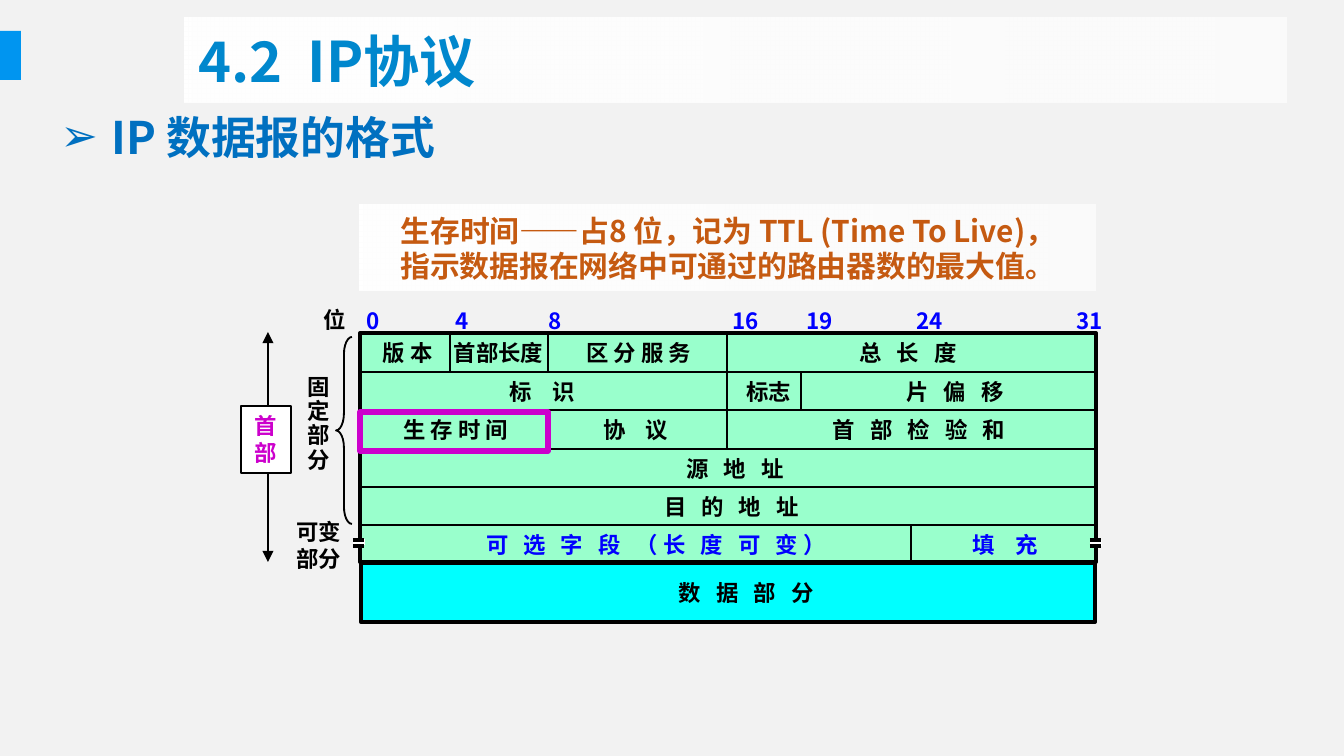
from lxml import etree
from pptx import Presentation
from pptx.dml.color import RGBColor
from pptx.enum.shapes import MSO_CONNECTOR, MSO_SHAPE
from pptx.enum.text import MSO_ANCHOR, MSO_AUTO_SIZE, PP_ALIGN
from pptx.oxml.ns import qn
from pptx.util import Pt

PX = 914400 / 134.4
FONT = "Noto Sans CJK SC"
RECTANGLE, LEFT_BRACE = MSO_SHAPE.RECTANGLE, MSO_SHAPE.LEFT_BRACE
STRAIGHT = MSO_CONNECTOR.STRAIGHT
LEFT, CENTER = PP_ALIGN.LEFT, PP_ALIGN.CENTER
MIDDLE, NO_FIT = MSO_ANCHOR.MIDDLE, MSO_AUTO_SIZE.NONE

BLACK = RGBColor(0x00, 0x00, 0x00)
WHITE = RGBColor(0xFF, 0xFF, 0xFF)
BACKGROUND = RGBColor(0xF2, 0xF2, 0xF2)
BAR_BLUE = RGBColor(0x00, 0x95, 0xF0)
TITLE_BLUE = RGBColor(0x00, 0x87, 0xCD)
HEADING_BLUE = RGBColor(0x00, 0x70, 0xC0)
BLUE = RGBColor(0x00, 0x00, 0xFF)
GREEN = RGBColor(0x99, 0xFF, 0xCC)
CYAN = RGBColor(0x00, 0xFF, 0xFF)
MAGENTA = RGBColor(0xCC, 0x00, 0xCC)
ORANGE = RGBColor(0xC5, 0x5A, 0x11)


def px(*lengths):
    return [round(length * PX) for length in lengths]


def format_text(frame, size, color, align=CENTER, wrap=False, tracking=0, line_height=None):
    frame.word_wrap = wrap
    frame.auto_size = NO_FIT
    frame.vertical_anchor = MIDDLE
    for paragraph in frame.paragraphs:
        paragraph.alignment = align
        paragraph.space_before = Pt(0)
        if line_height:
            paragraph.line_spacing = Pt(line_height)
        for run in paragraph.runs:
            run.font.size, run.font.bold, run.font.name = Pt(size), True, FONT
            run.font.color.rgb = color
            properties = run.font._element
            etree.SubElement(properties, qn("a:ea"), typeface=FONT)
            if tracking:
                properties.set("spc", str(tracking))


presentation = Presentation()
presentation.slide_width, presentation.slide_height = px(1344, 756)
slide = presentation.slides.add_slide(presentation.slide_layouts[1])
slide.background.fill.solid()
slide.background.fill.fore_color.rgb = BACKGROUND
shapes = slide.shapes

# Title, with a wider gap after the section number
title = shapes.title
title.left, title.top, title.width, title.height = px(185, 18, 1101, 85)
paragraph = title.text_frame.paragraphs[0]
for text in ("4.2", " ", "IP协议"):
    paragraph.add_run().text = text
format_text(title.text_frame, 30, TITLE_BLUE, LEFT, True)
paragraph.runs[1].font._element.set("spc", "670")

# Bulleted heading
heading = slide.placeholders[1]
heading.left, heading.top, heading.width, heading.height = px(47, 103, 1238, 67)
heading.text_frame.text = "IP 数据报的格式"
properties = heading.text_frame.paragraphs[0]._p.get_or_add_pPr()
indent = px(51)[0]
properties.set("marL", str(indent))
properties.set("indent", str(-indent))
etree.SubElement(properties, qn("a:buChar"), char="➢")
format_text(heading.text_frame, 24, HEADING_BLUE, LEFT, True)

# Filled boxes: left, top, width, height, fill, line colour, line width
boxes = {}
for name, *place, fill, line, weight in [
    ("bar", 0, 31, 21, 49, BAR_BLUE, None, 0),
    ("header", 360, 333, 736, 229, GREEN, BLACK, 2),
    ("data", 361, 563, 734, 59, CYAN, BLACK, 2.25),
    ("note", 360, 205, 736, 86, WHITE, None, 0),
    ("left break", 353, 539, 12, 6, WHITE, None, 0),
    ("right break", 1090, 540, 12, 6, WHITE, None, 0),
]:
    shape = shapes.add_shape(RECTANGLE, *px(*place))
    shape.shadow.inherit = False
    shape.fill.solid()
    shape.fill.fore_color.rgb = fill
    if line is None:
        shape.line.fill.background()
    else:
        shape.line.color.rgb = line
        shape.line.width = Pt(weight)
    boxes[name] = shape

# White fade behind the title and the note
for shape in (title, boxes["note"]):
    shape.fill.gradient()
    shape.fill.gradient_angle = 0
    for stop in shape.fill.gradient_stops:
        stop.color.rgb = WHITE
    last_color = shape.element.spPr.findall(".//" + qn("a:srgbClr"))[-1]
    etree.SubElement(last_color, qn("a:alpha"), val="67000")

note = boxes["note"].text_frame
note.text = "生存时间——占8 位，记为 TTL (Time To Live)，\n指示数据报在网络中可通过的路由器数的最大值。"
format_text(note, 16, ORANGE, wrap=True, line_height=19.2)

# Row and column rules, break marks and the extent arrow
row_tops = [333, 372, 410, 449, 487, 525]
rules = [(359, y, 1097, y, 1) for y in row_tops[1:]]
rules += [(x, top, x, bottom, 1) for x, top, bottom in [
    (450, 333, 372), (548, 333, 372), (548, 410, 449),
    (727, 333, 449), (801, 372, 410), (911, 525, 563)]]
rules += [(x, y, x + 11, y, 2) for x in (353, 1090) for y in (540, 546)]
rules.append((268, 332, 268, 562, 1))
for *ends, weight in rules:
    connector = shapes.add_connector(STRAIGHT, *px(*ends))
    connector.line.color.rgb = BLACK
    connector.line.width = Pt(weight)
    etree.SubElement(connector.element.spPr, qn("a:effectLst"))
arrow_line = connector.line._get_or_add_ln()
for end in ("a:headEnd", "a:tailEnd"):
    etree.SubElement(arrow_line, qn(end), type="triangle")

# Brace around the fixed part
brace = shapes.add_shape(LEFT_BRACE, *px(336, 337, 16, 187))
brace.adjustments[0], brace.adjustments[1] = 1.08, 0.5
brace.shadow.inherit = False
brace.fill.background()
brace.line.color.rgb = BLACK
brace.line.width = Pt(1)

# Labels: text, left, top, width, height, colour, letter spacing, line height
labels = [
    ("位", 310, 300, 50, 40, BLACK, 0, None),
    ("固\n定\n部\n分", 294, 368, 50, 112, BLACK, 0, 13),
    ("可变\n部分", 282, 512, 73, 67, BLACK, 0, 14.4),
    ("数 据 部 分", 610, 573, 273, 40, BLACK, 270, None),
]
for bit, left in [(0, 353), (4, 442), (8, 535), (16, 718), (19, 792), (24, 902), (31, 1062)]:
    labels.append((str(bit), left, 301, 40 if bit < 10 else 55, 40, BLUE, 0, None))
for row, text, left, width, color, tracking in [
    (0, "版 本", 368, 79, BLACK, 0),
    (0, "首部长度", 440, 117, BLACK, 0),
    (0, "区 分 服 务", 570, 138, BLACK, 0),
    (0, "总 长 度", 840, 136, BLACK, 270),
    (1, "标 识", 493, 99, BLACK, 405),
    (1, "标志", 732, 73, BLACK, 0),
    (1, "片 偏 移", 887, 136, BLACK, 270),
    (2, "生 存 时 间", 387, 138, BLACK, 0),
    (2, "协 议", 586, 99, BLACK, 405),
    (2, "首 部 检 验 和", 808, 222, BLACK, 270),
    (3, "源 地 址", 667, 136, BLACK, 270),
    (4, "目 的 地 址", 642, 179, BLACK, 270),
    (5, "可 选 字 段 （长 度 可 变）", 461, 390, BLUE, 270),
    (5, "填 充", 956, 99, BLUE, 405),
]:
    labels.append((text, left, row_tops[row], width, 40, color, tracking, None))
for text, *place, color, tracking, line_height in labels:
    label = shapes.add_textbox(*px(*place))
    label.text_frame.text = text
    format_text(label.text_frame, 12, color, tracking=tracking, line_height=line_height)

# Header tag on the arrow
tag = shapes.add_shape(RECTANGLE, *px(241, 406, 50, 67))
tag.shadow.inherit = False
tag.fill.solid()
tag.fill.fore_color.rgb = WHITE
tag.line.color.rgb = BLACK
tag.line.width = Pt(1)
tag.text_frame.text = "首\n部"
format_text(tag.text_frame, 12, MAGENTA, line_height=14.4)

# Highlight on the time-to-live field
highlight = shapes.add_shape(RECTANGLE, *px(360, 412, 188, 39))
highlight.shadow.inherit = False
highlight.fill.background()
highlight.line.color.rgb = MAGENTA
highlight.line.width = Pt(3)

presentation.save("out.pptx")
